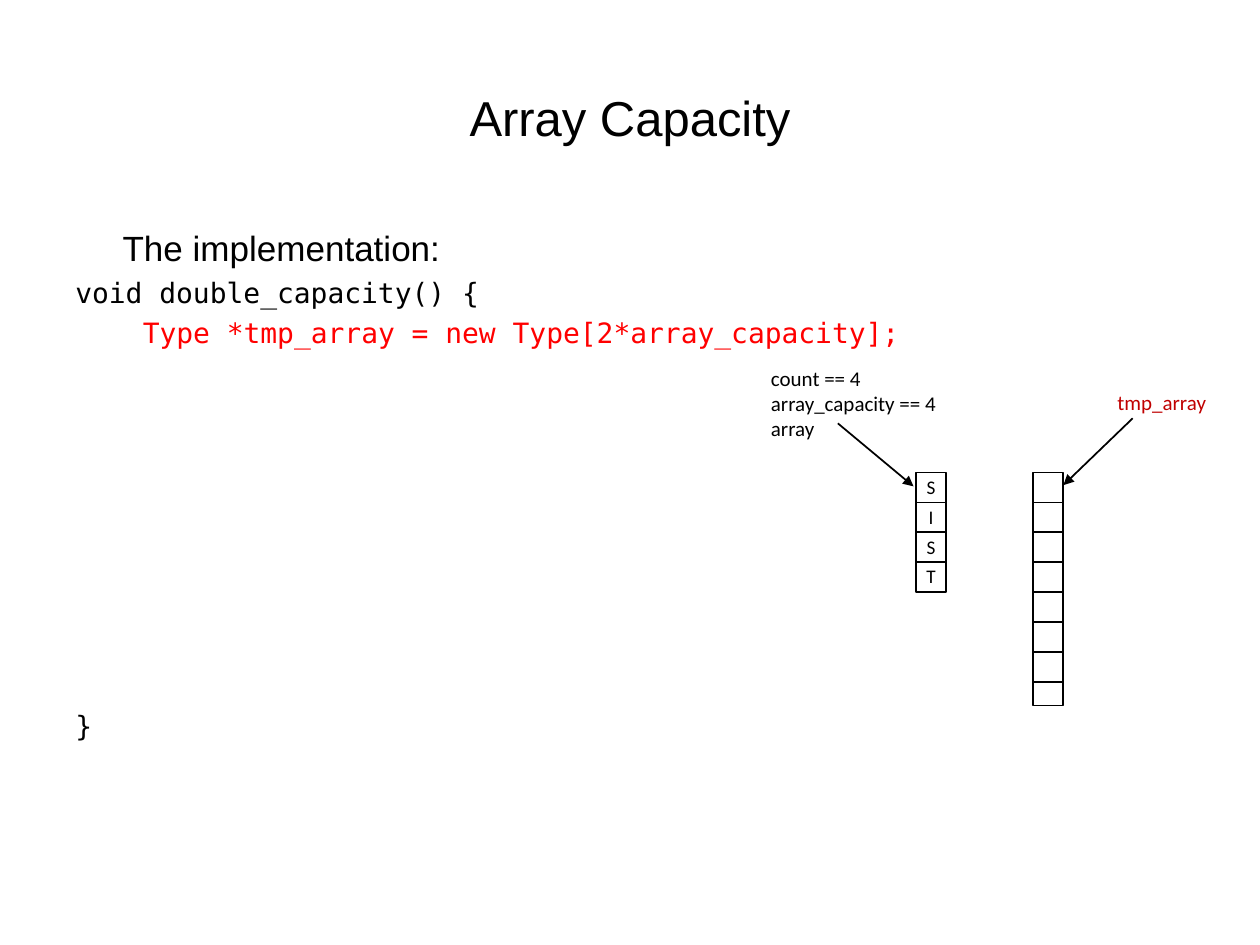
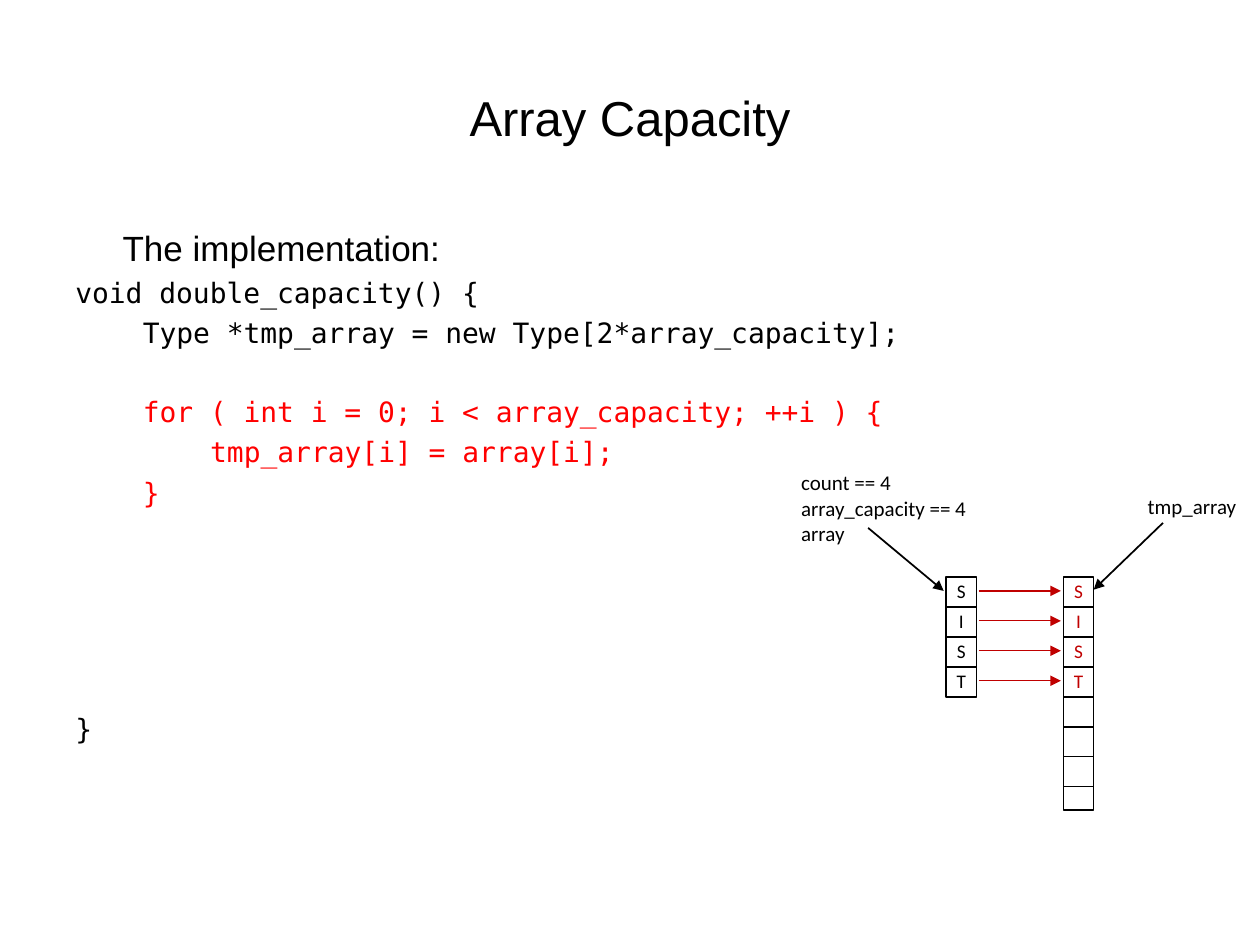
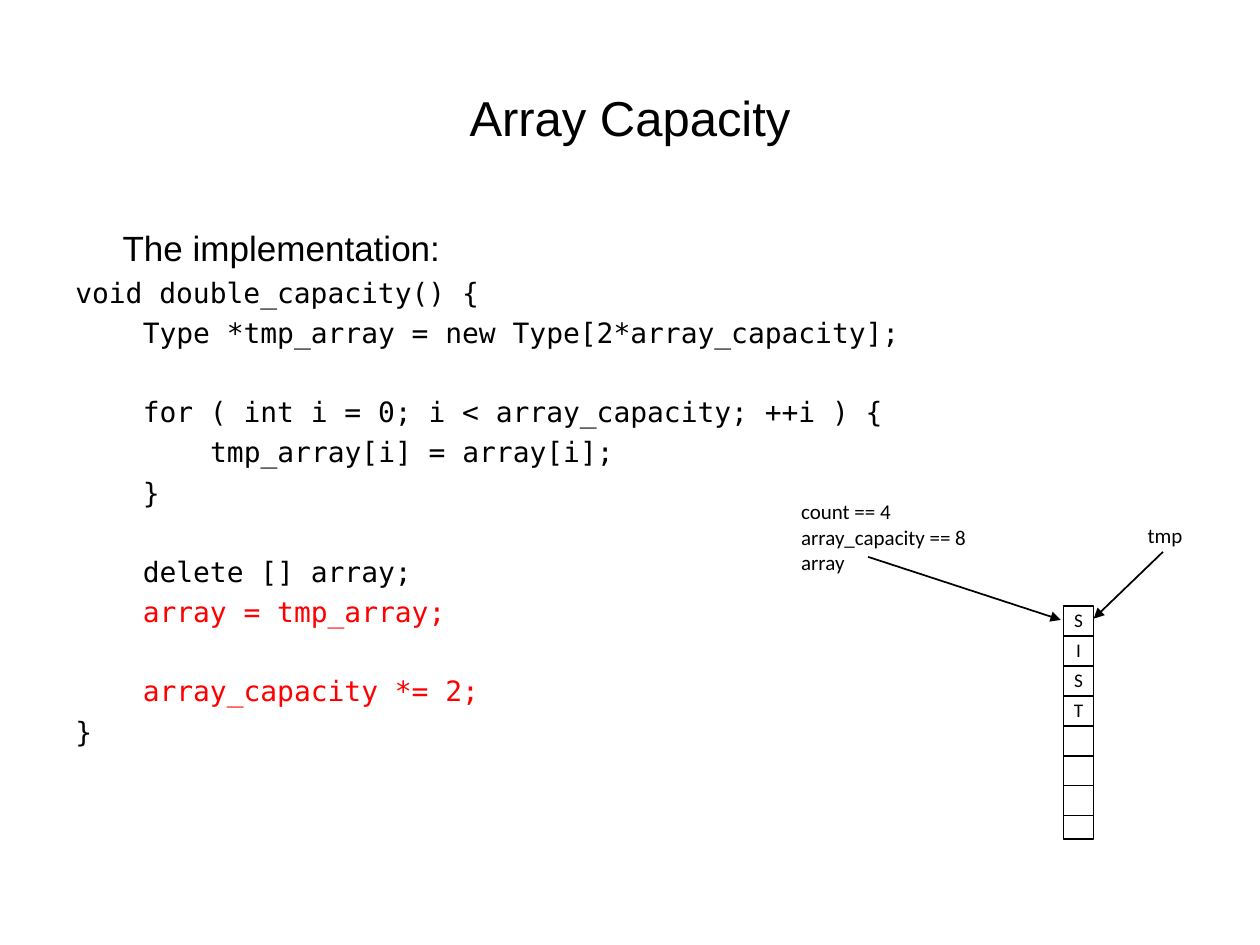
from dataclasses import dataclass

from pptx import Presentation
from pptx.dml.color import RGBColor
from pptx.enum.shapes import MSO_CONNECTOR, MSO_SHAPE
from pptx.enum.text import MSO_ANCHOR, MSO_AUTO_SIZE, PP_ALIGN
from pptx.oxml.ns import qn
from pptx.util import Inches, Pt

STRAIGHT = MSO_CONNECTOR.STRAIGHT
RECTANGLE = MSO_SHAPE.RECTANGLE
TOP, MIDDLE = MSO_ANCHOR.TOP, MSO_ANCHOR.MIDDLE
LEFT, CENTER = PP_ALIGN.LEFT, PP_ALIGN.CENTER
FIT_SHAPE = MSO_AUTO_SIZE.SHAPE_TO_FIT_TEXT

BLACK, WHITE, RED, DARK_RED = "000000", "FFFFFF", "FF0000", "C00000"
SANS, MONO, LABEL = "Arial", "DejaVu Sans Mono", "Calibri"

CELL_W = 0.24
CELL_H = 0.95 / 4
COLUMN_GAP = 0.93
LETTERS = "SIST"
PARAGRAPH_GAP = 3.75
LINE_PITCH = 22.4
CODE_INDENT = 0.535


@dataclass(frozen=True)
class CodeLine:
    row: int
    level: int
    text: str


@dataclass(frozen=True)
class Step:
    highlighted: tuple[int, ...]
    last_row: int
    x: float
    y: float
    capacity: int
    pointer: str
    pointer_width: float
    has_source: bool
    pointer_color: str = BLACK
    letters: str = LETTERS
    letter_color: str = BLACK
    copying: bool = False


CODE = (
    CodeLine(0, 0, "void double_capacity() {"),
    CodeLine(1, 1, "Type *tmp_array = new Type[2*array_capacity];"),
    CodeLine(3, 1, "for ( int i = 0; i < array_capacity; ++i ) {"),
    CodeLine(4, 2, "tmp_array[i] = array[i];"),
    CodeLine(5, 1, "}"),
    CodeLine(7, 1, "delete [] array;"),
    CodeLine(8, 1, "array = tmp_array;"),
    CodeLine(10, 1, "array_capacity *= 2;"),
    CodeLine(11, 0, "}"),
)
CLOSING_ROW = CODE[-1].row

STEPS = (
    Step((1,), 1, 8.2, 3.75, 4, "tmp_array", 0.91, True,
         pointer_color=DARK_RED, letters=""),
    Step((3, 4, 5), 5, 8.44, 4.58, 4, "tmp_array", 0.93, True,
         letter_color=DARK_RED, copying=True),
    Step((8, 10), 10, 8.44, 4.81, 8, "tmp", 0.48, False),
)


def rgb(color: str) -> RGBColor:
    return RGBColor.from_string(color)


def style(p, font: str, size: float, color: str = BLACK, align=LEFT) -> None:
    p.alignment = align
    for r in p.runs:
        r.font.name = font
        r.font.size = Pt(size)
        r.font.color.rgb = rgb(color)


def add_text(s, x: float, y: float, w: float, h: float, wrap: bool = True):
    tf = s.shapes.add_textbox(Inches(x), Inches(y), Inches(w), Inches(h)).text_frame
    tf.word_wrap = wrap
    return tf


def add_box(s, x: float, y: float, w: float, h: float):
    sp = s.shapes.add_shape(RECTANGLE, Inches(x), Inches(y), Inches(w), Inches(h))
    sp.shadow.inherit = False
    sp.fill.solid()
    sp.fill.fore_color.rgb = rgb(WHITE)
    return sp


def add_line(s, x1: float, y1: float, x2: float, y2: float,
             color: str = BLACK, width: float = 1, arrow: bool = False) -> None:
    line = s.shapes.add_connector(
        STRAIGHT, Inches(x1), Inches(y1), Inches(x2), Inches(y2))
    line.line.color.rgb = rgb(color)
    line.line.width = Pt(width)
    if arrow:
        ln = line.line._get_or_add_ln()
        ln.makeelement(qn("a:tailEnd"), {})
        tail = ln.makeelement(qn("a:tailEnd"), {"type": "triangle"})
        ln.append(tail)
    sp_pr = line._element.spPr
    sp_pr.append(sp_pr.makeelement(qn("a:effectLst"), {}))


def add_label(s, x: float, y: float, w: float, h: float,
              text: str, color: str = BLACK) -> None:
    sp = add_box(s, x, y, w, h)
    sp.line.fill.background()
    tf = sp.text_frame
    tf.text = text
    tf.word_wrap = False
    tf.auto_size = FIT_SHAPE
    tf.vertical_anchor = TOP
    for p in tf.paragraphs:
        style(p, LABEL, 12, color)


def add_column(s, x: float, y: float, height: float, cells: int,
               letters: str, color: str = BLACK) -> None:
    box = add_box(s, x, y, CELL_W, height)
    box.line.color.rgb = rgb(BLACK)
    box.line.width = Pt(1)
    for i in range(1, cells):
        add_line(s, x, y + i * CELL_H, x + CELL_W, y + i * CELL_H)
    for i, letter in enumerate(letters):
        tf = add_text(s, x - 0.02, y - 0.03 + i * CELL_H, 0.28, 0.29, wrap=False)
        tf.text = letter
        style(tf.paragraphs[0], LABEL, 11, color, CENTER)


def add_title(s) -> None:
    tf = add_text(s, 0.5, 0.3, 9, 1.25)
    tf.vertical_anchor = MIDDLE
    tf.text = "Array Capacity"
    style(tf.paragraphs[0], SANS, 28, align=CENTER)


def add_code(s, step: Step) -> None:
    tf = add_text(s, 0.5, 1.75, 9, 4.95)
    tf.text = "The implementation:"
    heading = tf.paragraphs[0]
    heading.space_before = Pt(PARAGRAPH_GAP)
    heading._p.get_or_add_pPr().set("marL", str(Inches(0.375)))
    style(heading, SANS, 20)
    previous = -1
    for line in CODE:
        if step.last_row < line.row < CLOSING_ROW:
            continue
        p = tf.add_paragraph()
        p.text = line.text
        p.space_before = Pt(PARAGRAPH_GAP + (line.row - previous - 1) * LINE_PITCH)
        p._p.get_or_add_pPr().set("marL", str(Inches(line.level * CODE_INDENT)))
        style(p, MONO, 16, RED if line.row in step.highlighted else BLACK)
        previous = line.row


def add_diagram(s, step: Step) -> None:
    x, y = step.x, step.y
    source_x = x - COLUMN_GAP
    target_x = source_x if step.has_source else x
    if step.has_source:
        add_column(s, source_x, y, 0.95, 4, LETTERS)
    add_label(s, x - 2.18, y - 0.9, 1.52, 0.71,
              f"count == 4\narray_capacity == {step.capacity}\narray")
    add_line(s, x - 1.55, y - 0.39, target_x - 0.02, y + 0.11, arrow=True)
    add_column(s, x, y, 1.85, 8, step.letters, step.letter_color)
    add_label(s, x + 0.57, y - 0.71, step.pointer_width, 0.3,
              step.pointer, step.pointer_color)
    add_line(s, x + 0.79, y - 0.43, x + CELL_W, y + 0.1, arrow=True)
    if step.copying:
        for i in range(len(LETTERS)):
            row_y = y + 0.11 + i * CELL_H
            add_line(s, source_x + 0.26, row_y, x - 0.02, row_y,
                     DARK_RED, 0.75, arrow=True)


def main() -> None:
    prs = Presentation()
    prs.slide_width, prs.slide_height = Inches(10), Inches(7.5)
    for step in STEPS:
        s = prs.slides.add_slide(prs.slide_layouts[6])
        add_title(s)
        add_code(s, step)
        add_diagram(s, step)
    prs.save("out.pptx")


if __name__ == "__main__":
    main()
